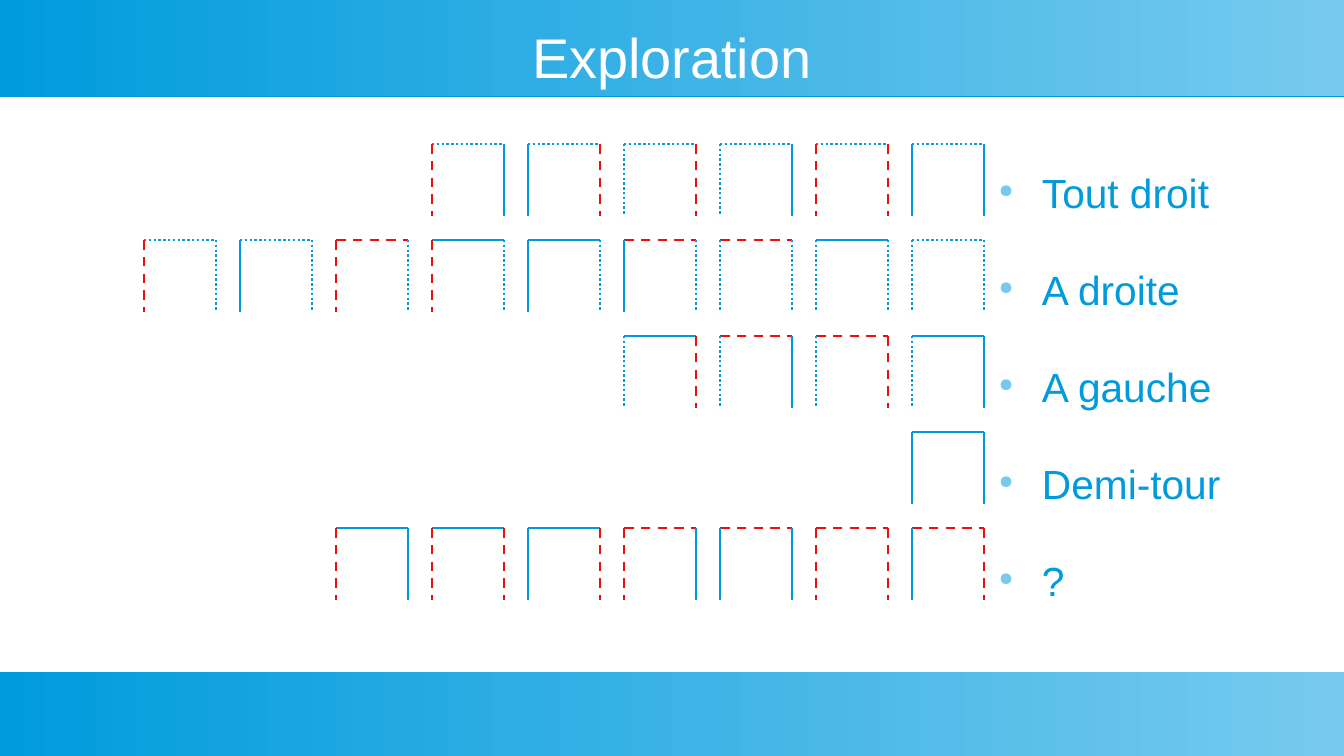
from lxml.etree import SubElement
from pptx import Presentation
from pptx.dml.color import RGBColor
from pptx.enum.dml import MSO_LINE
from pptx.enum.shapes import MSO_CONNECTOR, MSO_SHAPE
from pptx.enum.text import MSO_ANCHOR, PP_ALIGN
from pptx.oxml.ns import qn
from pptx.util import Pt

EMU_PER_PX = 7500
SLIDE_WIDTH, SLIDE_HEIGHT = 1344, 756
WALL, PITCH = 72, 96
FIRST_TOP, LAST_LEFT = 144, 912

WHITE = RGBColor(0xFF, 0xFF, 0xFF)
BLUE = RGBColor(0x00, 0x9B, 0xDD)
LIGHT_BLUE = RGBColor(0x77, 0xCA, 0xEE)
RED = RGBColor(0xF1, 0x0D, 0x0C)

WALL_STYLES = {
    "s": (BLUE, None),
    "d": (BLUE, MSO_LINE.ROUND_DOT),
    "r": (RED, MSO_LINE.DASH),
}

# Each cell lists its left, top and right walls: s = solid, d = dotted, r = red dashes.
DECISIONS = {
    "Tout droit": "rds sdr ddr dds rdr sds",
    "A droite": "rdd sdd rrd rsd ssd srd drd dsd ddd",
    "A gauche": "dsr drs drr dss",
    "Demi-tour": "sss",
    "?": "rss rsr ssr rrs srs rrr srr",
}


def px(length):
    return length * EMU_PER_PX


def add_element(parent, tag, **attributes):
    element = SubElement(parent, qn(tag))
    for name, value in attributes.items():
        element.set(name, str(value))
    return element


def write_text(paragraph, text, *, size, color, font, align=PP_ALIGN.LEFT, space_before=0):
    paragraph.alignment = align
    paragraph.space_before = Pt(space_before)
    run = paragraph.add_run()
    run.text = text
    run.font.name = font
    run.font.size = Pt(size)
    run.font.color.rgb = color


class SlideBuilder:
    font = "Arial"
    line_width = Pt(1.42)

    def __init__(self, slide):
        self.slide = slide

    def bar(self, top, height):
        shape = self.slide.shapes.add_shape(
            MSO_SHAPE.RECTANGLE, 0, px(top), px(SLIDE_WIDTH), px(height))
        shape.line.fill.background()
        shape.fill.gradient()
        shape.fill.gradient_angle = 0
        for stop, color in zip(shape.fill.gradient_stops, (BLUE, LIGHT_BLUE)):
            stop.color.rgb = color
        shape.shadow.inherit = False
        effects = shape._element.spPr.find(qn("a:effectLst"))
        shadow = add_element(effects, "a:outerShdw", dist=Pt(0.9), dir=5400000, rotWithShape=0)
        add_element(shadow, "a:srgbClr", val=BLUE)

    def text_frame(self, left, top, width, height, anchor=MSO_ANCHOR.TOP):
        frame = self.slide.shapes.add_textbox(
            px(left), px(top), px(width), px(height)).text_frame
        frame.word_wrap = True
        frame.vertical_anchor = anchor
        frame.margin_left = frame.margin_top = 0
        frame.margin_right = frame.margin_bottom = 0
        return frame

    def title(self, text):
        frame = self.text_frame(48, 24, 1248, 64, MSO_ANCHOR.MIDDLE)
        write_text(frame.paragraphs[0], text, size=33, color=WHITE,
                   font=self.font, align=PP_ALIGN.CENTER)

    def bullets(self, labels):
        frame = self.text_frame(984, 168, 312, 408)
        for index, label in enumerate(labels):
            paragraph = frame.add_paragraph() if index else frame.paragraphs[0]
            write_text(paragraph, label, size=24, color=BLUE,
                       font=self.font, space_before=28.4)
            properties = paragraph._p.get_or_add_pPr()
            properties.set("marL", str(px(58)))
            properties.set("indent", str(px(-43)))
            bullet_color = add_element(properties, "a:buClr")
            add_element(bullet_color, "a:srgbClr", val=LIGHT_BLUE)
            add_element(properties, "a:buSzPct", val=45000)
            add_element(properties, "a:buChar", char="●")

    def wall(self, start, end, style):
        color, dash = WALL_STYLES[style]
        connector = self.slide.shapes.add_connector(
            MSO_CONNECTOR.STRAIGHT, *map(px, start + end))
        connector.line.width = self.line_width
        connector.line.color.rgb = color
        if dash:
            connector.line.dash_style = dash
        add_element(connector._element.spPr, "a:effectLst")

    def cell(self, left, top, styles):
        right, bottom = left + WALL, top + WALL
        corners = [(left, bottom), (left, top), (right, top), (right, bottom)]
        left_style, top_style, right_style = styles
        self.wall(corners[1], corners[2], top_style)
        self.wall(corners[2], corners[3], right_style)
        self.wall(corners[1], corners[0], left_style)

    def cell_row(self, top, cells):
        for index, styles in enumerate(reversed(cells)):
            self.cell(LAST_LEFT - index * PITCH, top, styles)


def main():
    presentation = Presentation()
    presentation.slide_width = px(SLIDE_WIDTH)
    presentation.slide_height = px(SLIDE_HEIGHT)
    builder = SlideBuilder(presentation.slides.add_slide(presentation.slide_layouts[6]))
    builder.bar(0, 96)
    builder.bar(672, 84)
    builder.title("Exploration")
    for row, cells in enumerate(DECISIONS.values()):
        builder.cell_row(FIRST_TOP + row * PITCH, cells.split())
    builder.bullets(DECISIONS)
    presentation.save("out.pptx")


if __name__ == "__main__":
    main()
